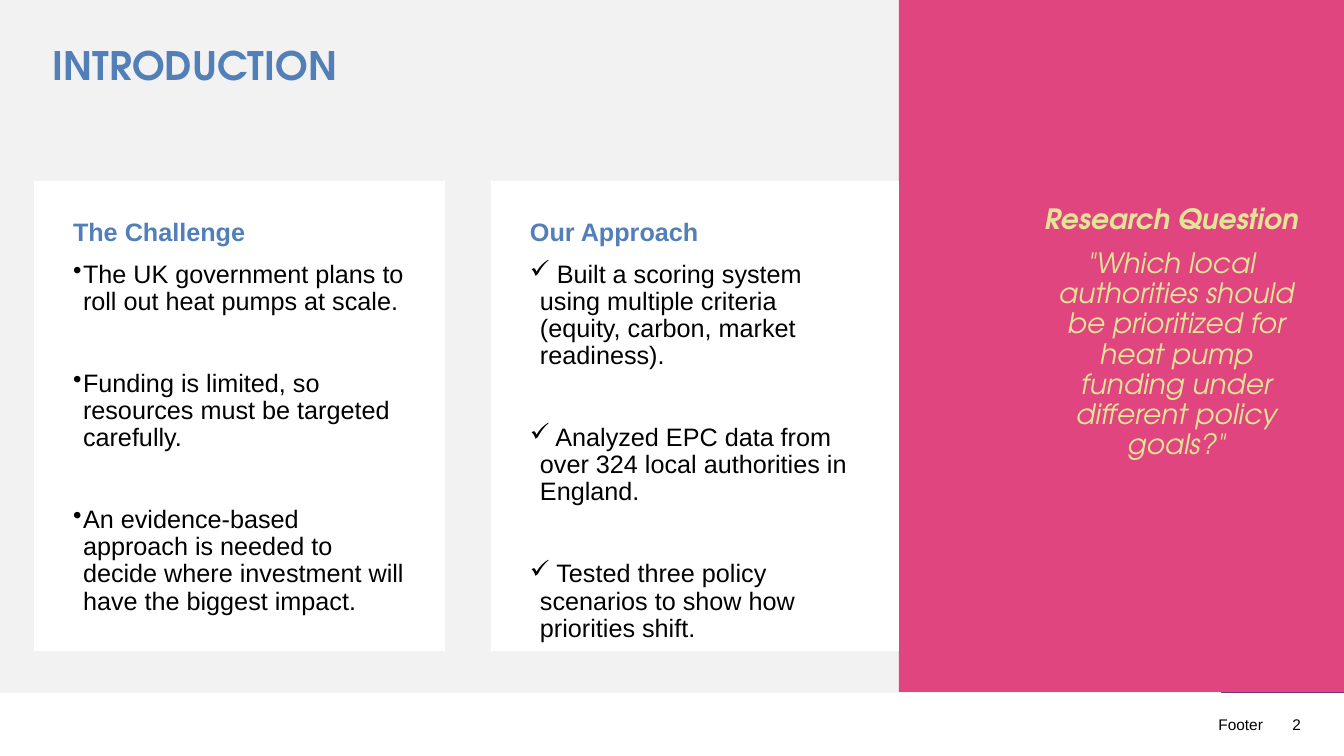
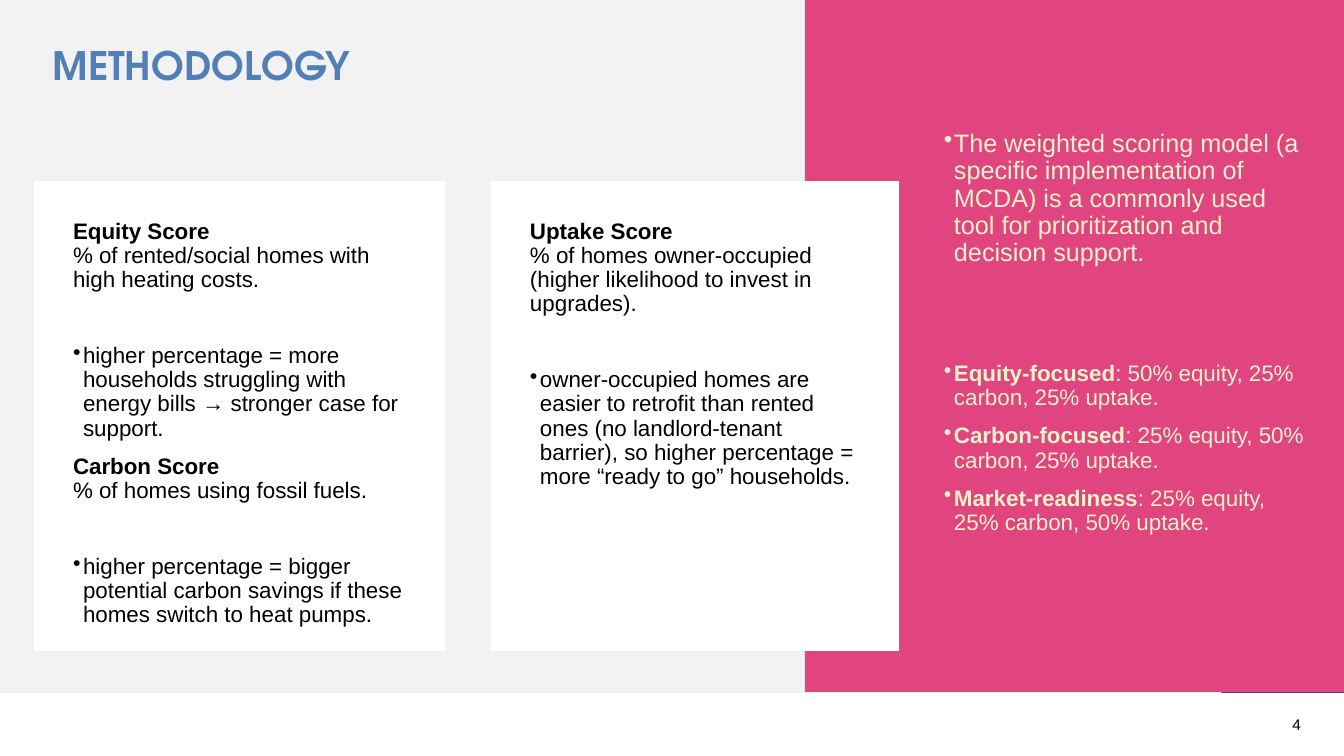
import copy
from dataclasses import dataclass

import lxml.etree
import pptx
import pptx.dml.color
import pptx.enum.shapes
import pptx.enum.text
import pptx.oxml.ns
import pptx.util

PX = 12192000 / 1344  # EMU in one px
WIDTH, HEIGHT = 1344, 756
BAND_TOP = 692
CARD_TOP, CARD_HEIGHT = 181, 470
HANG = 10

GREY, WHITE, BLACK = "F2F2F2", "FFFFFF", "000000"
BLUE, PINK, PURPLE = "537FB9", "E04580", "6A367C"
LIME, CREAM = "E2E596", "F1F2CA"
BODY_FONT, DISPLAY_FONT = "Arial", "TeX Gyre Adventor"

ALIGN = pptx.enum.text.PP_ALIGN
ANCHOR = pptx.enum.text.MSO_ANCHOR
RECTANGLE = pptx.enum.shapes.MSO_SHAPE.RECTANGLE


@dataclass
class Para:
    """One paragraph; runs are (text, overrides), and "\\n" breaks the line."""
    runs: list
    bullet: str = ""
    hanging: bool = True
    before: int = 10
    align: object = ALIGN.LEFT
    spacing: float = 0.9


def px(length):
    return pptx.util.Emu(round(length * PX))


def colour(value):
    return pptx.dml.color.RGBColor.from_string(value)


def text_format(size, font=BODY_FONT, rgb=BLACK, **extra):
    return {"size": size, "name": font, "color": rgb, "bold": False, **extra}


def apply_format(font, values):
    for key, value in values.items():
        if key == "color":
            font.color.rgb = colour(value)
        else:
            setattr(font, key, pptx.util.Pt(value) if key == "size" else value)


def fill_plain(shape, rgb):
    shape.shadow.inherit = False
    shape.fill.solid()
    shape.fill.fore_color.rgb = colour(rgb)
    shape.line.fill.background()


def add_block(slide, box, rgb):
    block = slide.shapes.add_shape(RECTANGLE, *map(px, box))
    fill_plain(block, rgb)
    return block


def write_runs(paragraph, runs, base):
    for text, overrides in runs:
        for index, line in enumerate(text.split("\n")):
            if index:
                line_break = paragraph._p.add_br()
                line_break.append(copy.deepcopy(run._r.rPr))
            if line:
                run = paragraph.add_run()
                run.text = line
                apply_format(run.font, {**base, **overrides})


def write(shape, paras, base, insets, anchor=ANCHOR.TOP):
    frame = shape.text_frame
    frame.word_wrap = True
    frame.vertical_anchor = anchor
    for side, inset in zip(("left", "top", "right", "bottom"), insets):
        setattr(frame, "margin_" + side, px(inset))
    for index, para in enumerate(paras):
        paragraph = frame.add_paragraph() if index else frame.paragraphs[0]
        paragraph.alignment = para.align
        paragraph.line_spacing = para.spacing
        paragraph.space_before = pptx.util.Pt(para.before if index else 0)
        properties = paragraph._p.get_or_add_pPr()
        if para.hanging:
            properties.set("marL", str(px(HANG)))
            properties.set("indent", str(px(-HANG)))
        if para.bullet:
            bullet = lxml.etree.SubElement(properties, pptx.oxml.ns.qn("a:buChar"))
            bullet.set("char", para.bullet)
        write_runs(paragraph, para.runs, base)


def plain(text, **settings):
    return Para([(text, {})], **settings)


def add_label(slide, box, text, base, insets, anchor=ANCHOR.TOP, **settings):
    label = slide.shapes.add_textbox(*map(px, box))
    write(label, [plain(text, hanging=False, **settings)], base, insets, anchor)


# Shared regions

def add_backdrop(slide):
    slide.background.fill.solid()
    slide.background.fill.fore_color.rgb = colour(GREY)
    add_block(slide, (0, BAND_TOP + 1, WIDTH, HEIGHT - BAND_TOP - 1), WHITE)
    # Corner facet, seen as a thin edge under the side panel
    outline = slide.shapes.build_freeform(1307, 489, scale=PX)
    outline.add_line_segments([(WIDTH, 489), (WIDTH, 693), (1221, 693)])
    fill_plain(outline.convert_to_shape(), PURPLE)


def add_side_panel(slide, left, paras, base):
    panel = add_block(slide, (left, 0, WIDTH - left, BAND_TOP), PINK)
    write(panel, paras, base, (139, 5, 39, 31), ANCHOR.MIDDLE)


def add_title(slide, text):
    add_label(slide, (33, 39, 728, 58), text,
              text_format(28, DISPLAY_FONT, BLUE, bold=True), (20, 8, 20, 8))


def add_footer(slide, number, footer):
    for left, width, text in ((1263, 48, number), (892, 381, footer)):
        if text:
            add_label(slide, (left, 710, width, 29), text, text_format(11),
                      (10, 5, 10, 5), ANCHOR.MIDDLE, align=ALIGN.RIGHT, spacing=1.0)


def add_cards(slide, cards, size):
    for (left, width), paras in zip(((34, 411), (491, 408)), cards):
        card = add_block(slide, (left, CARD_TOP, width, CARD_HEIGHT), WHITE)
        write(card, paras, text_format(size), (39, 39, 39, 39))


def build_slide(deck, title, number, footer, panel, cards, card_size):
    slide = deck.slides.add_slide(deck.slide_layouts[6])
    add_backdrop(slide)
    add_side_panel(slide, *panel)
    add_title(slide, title)
    add_footer(slide, number, footer)
    add_cards(slide, cards, card_size)


# Content patterns

def point_list(heading, bullet, points):
    """A coloured heading, then widely spaced points."""
    return [Para([(heading, {"bold": True, "color": BLUE})])] + [
        plain(point, bullet=bullet, before=39 if index else 10)
        for index, point in enumerate(points)]


def score(name, measure, reason):
    """A score's name and measure, then the reasoning as a bullet."""
    return [Para([(name + "\n", {"bold": True}), (measure, {})], hanging=False),
            plain(reason, bullet="•", before=37)]


def introduction(deck):
    question = [
        Para([("Research Question", {"bold": True})], align=ALIGN.CENTER),
        plain('"Which local authorities should be prioritized for heat pump '
              'funding under different policy goals?"', align=ALIGN.CENTER),
    ]
    cards = [
        point_list("The Challenge", "•", [
            "The UK government plans to roll out heat pumps at scale.",
            "Funding is limited, so resources must be targeted carefully.",
            "An evidence-based approach is needed to decide where investment "
            "will have the biggest impact.",
        ]),
        point_list("Our Approach", "✓", [
            " Built a scoring system using multiple criteria "
            "(equity, carbon, market readiness).",
            " Analyzed EPC data from over 324 local authorities in England.",
            " Tested three policy scenarios to show how priorities shift.",
        ]),
    ]
    panel = (899, question, text_format(20, DISPLAY_FONT, LIME, italic=True))
    build_slide(deck, "INTRODUCTION", "2", "Footer", panel, cards, 18)


def methodology(deck):
    scenarios = [
        ("Equity-focused", ": 50% equity, 25% carbon, 25% uptake."),
        ("Carbon-focused", ": 25% equity, 50% carbon, 25% uptake."),
        ("Market-readiness", ": 25% equity, 25% carbon, 50% uptake."),
    ]
    model = [Para([("The weighted scoring model (a specific implementation of MCDA) "
                    "is a commonly used tool for prioritization and decision support.",
                    {"size": 18})], bullet="•")]
    model += [Para([(name, {"bold": True}), (weights, {})], bullet="•",
                   before=10 if index else 68)
              for index, (name, weights) in enumerate(scenarios)]
    cards = [
        score("Equity Score", "% of rented/social homes with high heating costs.",
              "higher percentage = more households struggling with energy bills "
              "→ stronger case for support.")
        + score("Carbon Score", "% of homes using fossil fuels.",
                "higher percentage = bigger potential carbon savings if these "
                "homes switch to heat pumps."),
        score("Uptake Score",
              "% of homes owner-occupied (higher likelihood to invest in upgrades).",
              "owner-occupied homes are easier to retrofit than rented ones "
              "(no landlord-tenant barrier), so higher percentage = more "
              "“ready to go” households."),
    ]
    panel = (805, model, text_format(16, rgb=CREAM))
    build_slide(deck, "METHODOLOGY", "4", "", panel, cards, 16)


def main():
    deck = pptx.Presentation()
    deck.slide_width, deck.slide_height = px(WIDTH), px(HEIGHT)
    introduction(deck)
    methodology(deck)
    deck.save("out.pptx")


if __name__ == "__main__":
    main()
